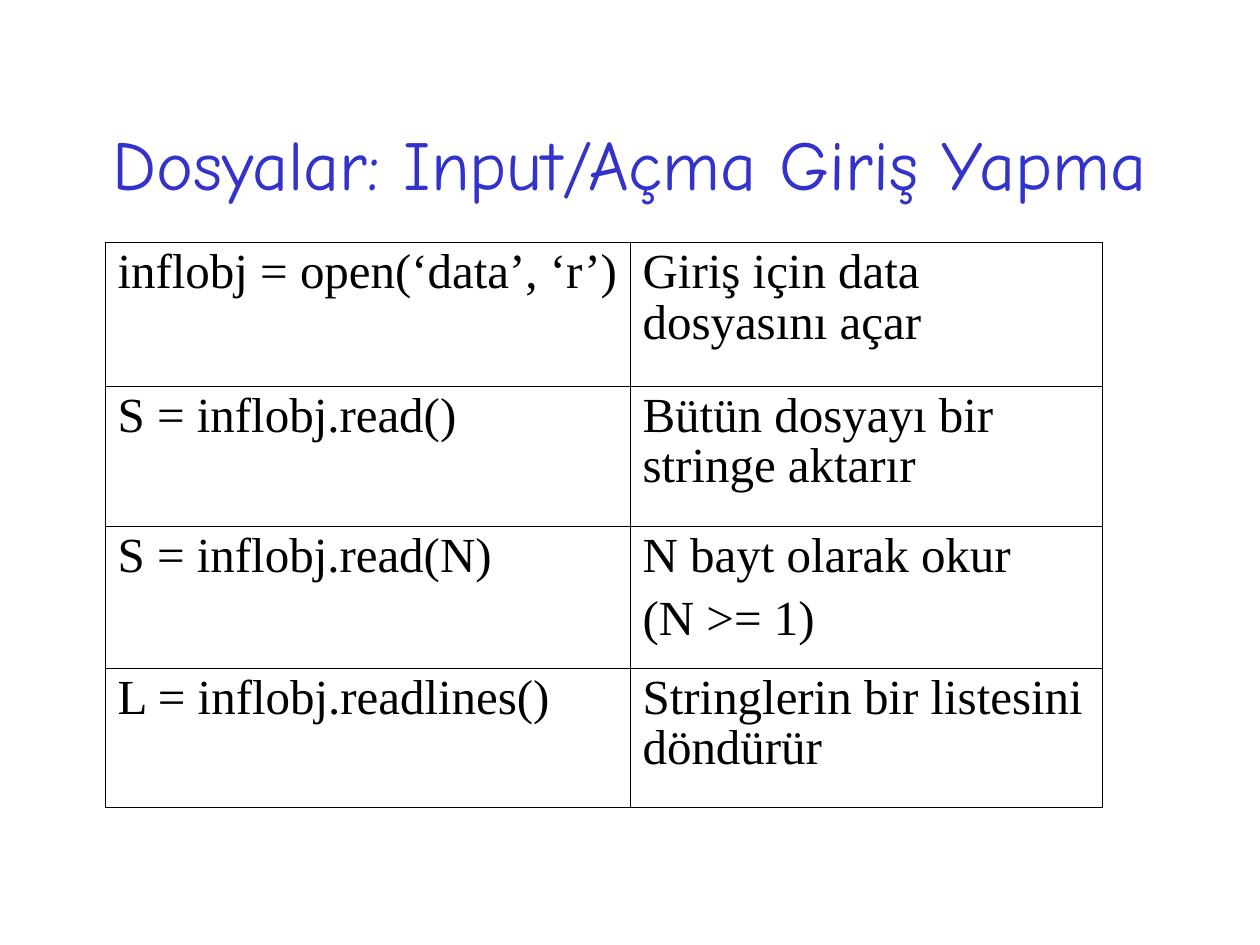
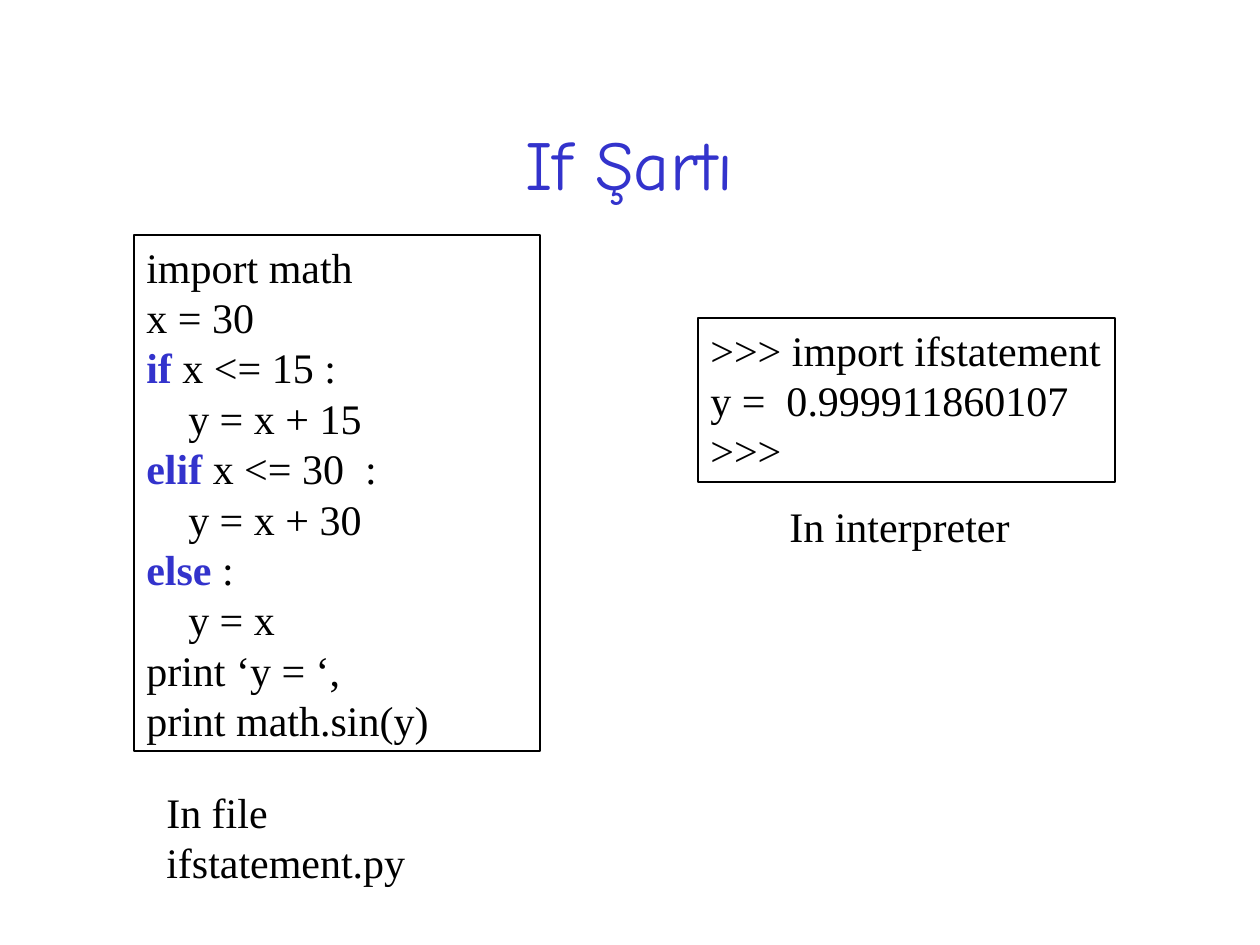
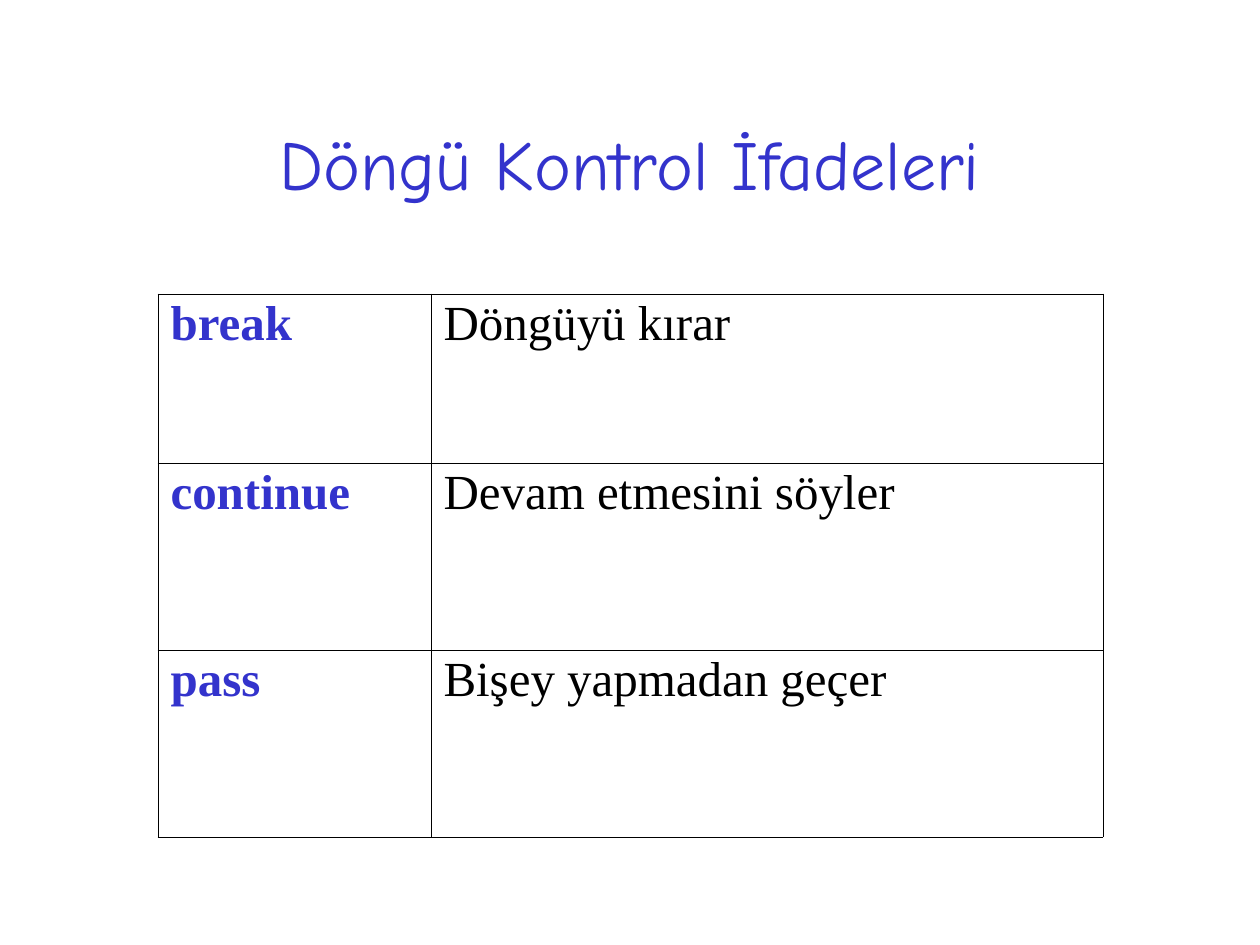
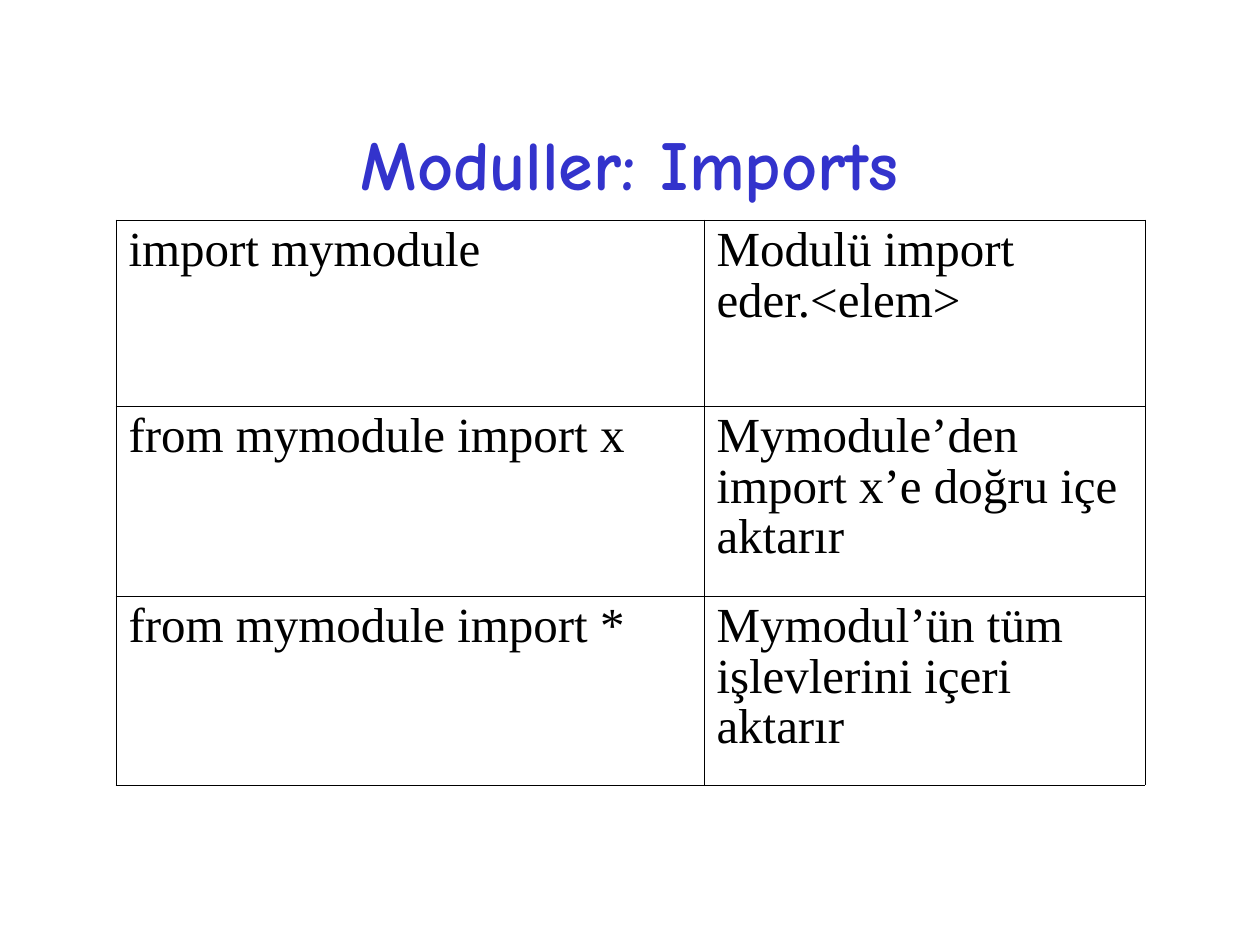
from collections import namedtuple
from dataclasses import dataclass

from lxml.etree import SubElement
from pptx import Presentation
from pptx.dml.color import RGBColor
from pptx.enum.shapes import MSO_SHAPE
from pptx.enum.text import MSO_ANCHOR, MSO_AUTO_SIZE, PP_ALIGN
from pptx.oxml.ns import qn
from pptx.util import Pt

EMU_PER_PX = 914400 / 126
KEYWORDS = {"if", "elif", "else", "break", "continue", "pass"}


@dataclass(frozen=True)
class Theme:
    accent: RGBColor = RGBColor(0x33, 0x33, 0xCC)
    ink: RGBColor = RGBColor(0x00, 0x00, 0x00)
    title_font: str = "Comic Neue"
    body_font: str = "Times New Roman"
    title_size: Pt = Pt(40)
    table_size: Pt = Pt(28)
    code_size: Pt = Pt(24)
    frame_line: Pt = Pt(0.75)
    outer_border: Pt = Pt(0.5)
    inner_border: Pt = Pt(0.23)
    line_spacing: float = 0.93
    paragraph_gap: Pt = Pt(7)


THEME = Theme()
Box = namedtuple("Box", "left top width height")
TITLE_BOX = Box(94, 84, 1071, 158)


def px(length):
    return round(length * EMU_PER_PX)


def place(box):
    return [px(length) for length in box]


def style_run(run, font, size, color, bold=False):
    run.font.name = font
    run.font.size = size
    run.font.color.rgb = color
    run.font.bold = bold


def write_lines(frame, lines, size):
    """Write one paragraph per line, with a leading keyword in bold accent."""
    frame.text = "\n".join(lines)
    for paragraph, line in zip(frame.paragraphs, lines):
        paragraph.alignment = PP_ALIGN.LEFT
        first, gap, rest = line.partition(" ")
        is_keyword = first in KEYWORDS
        if is_keyword and rest:
            paragraph.runs[0].text = first
            paragraph.add_run().text = gap + rest
        for index, run in enumerate(paragraph.runs):
            marked = is_keyword and index == 0
            color = THEME.accent if marked else THEME.ink
            style_run(run, THEME.body_font, size, color, marked)


def add_title(slide, title, bold=False):
    frame = slide.shapes.add_textbox(*place(TITLE_BOX)).text_frame
    frame.word_wrap = True
    frame.vertical_anchor = MSO_ANCHOR.MIDDLE
    frame.text = title
    heading = frame.paragraphs[0]
    heading.alignment = PP_ALIGN.CENTER
    style_run(heading.runs[0], THEME.title_font, THEME.title_size, THEME.accent, bold)


def set_borders(cell, outer_sides):
    """Draw all four borders, heavier on the sides at the table's edge."""
    properties = cell._tc.get_or_add_tcPr()
    for index, side in enumerate("LRTB"):
        width = THEME.outer_border if side in outer_sides else THEME.inner_border
        border = properties.makeelement(qn(f"a:ln{side}"), {"w": str(width)})
        fill = SubElement(border, qn("a:solidFill"))
        SubElement(fill, qn("a:srgbClr"), val=str(THEME.ink))
        properties.insert(index, border)


def add_definition_table(slide, left, top, column_widths, row_heights, entries):
    box = Box(left, top, sum(column_widths), sum(row_heights))
    last_row, last_column = len(entries) - 1, len(column_widths) - 1
    table = slide.shapes.add_table(last_row + 1, last_column + 1, *place(box)).table
    table.first_row = table.horz_banding = False
    for column, width in zip(table.columns, column_widths):
        column.width = px(width)
    for r, (height, entry) in enumerate(zip(row_heights, entries)):
        table.rows[r].height = px(height)
        for c, content in enumerate(entry):
            cell = table.cell(r, c)
            cell.fill.background()
            edges = {"L": c == 0, "R": c == last_column, "T": r == 0, "B": r == last_row}
            set_borders(cell, [side for side, outer in edges.items() if outer])
            write_lines(cell.text_frame, content.split("\n"), THEME.table_size)
            for index, paragraph in enumerate(cell.text_frame.paragraphs):
                paragraph.line_spacing = THEME.line_spacing
                if index:
                    paragraph.space_before = THEME.paragraph_gap


def add_code_panel(slide, box, code):
    panel = slide.shapes.add_shape(MSO_SHAPE.RECTANGLE, *place(box))
    panel.shadow.inherit = False
    panel.fill.background()
    panel.line.color.rgb = THEME.ink
    panel.line.width = THEME.frame_line
    frame = panel.text_frame
    frame.word_wrap = True
    frame.vertical_anchor = MSO_ANCHOR.TOP
    frame.auto_size = MSO_AUTO_SIZE.SHAPE_TO_FIT_TEXT
    write_lines(frame, code, THEME.code_size)


def add_caption(slide, box, caption):
    frame = slide.shapes.add_textbox(*place(box)).text_frame
    frame.word_wrap = False
    frame.auto_size = MSO_AUTO_SIZE.SHAPE_TO_FIT_TEXT
    write_lines(frame, [caption], THEME.code_size)


def build_table_slide(slide, title, bold=False, **table):
    add_title(slide, title, bold)
    add_definition_table(slide, **table)


def build_code_slide(slide, title, examples):
    add_title(slide, title)
    for panel_box, code, caption_box, caption in examples:
        add_code_panel(slide, panel_box, code)
        add_caption(slide, caption_box, caption)


FILE_INPUT = dict(
    title="Dosyalar: Input/Açma Giriş Yapma",
    left=105, top=242, column_widths=(525, 472), row_heights=(144, 140, 142, 140),
    entries=[
        ("inflobj = open(‘data’, ‘r’)", "Giriş için data dosyasını açar"),
        ("S = inflobj.read()", "Bütün dosyayı bir stringe aktarır"),
        ("S = inflobj.read(N)", "N bayt olarak okur\n(N >= 1)"),
        ("L = inflobj.readlines()", "Stringlerin bir listesini döndürür"),
    ],
)

IF_STATEMENT = dict(
    title="If Şartı",
    examples=[
        (
            Box(134, 235, 406, 516),
            [
                "import math",
                "x = 30",
                "if x <= 15 :",
                "    y = x + 15",
                "elif x <= 30  :",
                "    y = x + 30",
                "else :",
                "    y = x",
                "print ‘y = ‘,",
                "print math.sin(y)",
            ],
            Box(154, 780, 375, 63),
            "In file ifstatement.py",
        ),
        (
            Box(698, 318, 417, 164),
            [">>> import ifstatement", "y =  0.999911860107", ">>>"],
            Box(777, 494, 246, 63),
            "In interpreter",
        ),
    ],
)

LOOP_CONTROL = dict(
    title="Döngü Kontrol İfadeleri",
    left=158, top=294, column_widths=(273, 672), row_heights=(169, 187, 187),
    entries=[
        ("break", "Döngüyü kırar"),
        ("continue", "Devam etmesini söyler"),
        ("pass", "Bişey yapmadan geçer"),
    ],
)

MODULE_IMPORTS = dict(
    title="Moduller: Imports", bold=True,
    left=116, top=220, column_widths=(588, 441), row_heights=(186, 190, 189),
    entries=[
        ("import mymodule", "Modulü import eder.<elem>"),
        ("from mymodule import x", "Mymodule’den import x’e doğru içe aktarır"),
        ("from mymodule import *", "Mymodul’ün tüm işlevlerini içeri aktarır"),
    ],
)


def main():
    deck = Presentation()
    deck.slide_width, deck.slide_height = px(1260), px(945)
    blank = deck.slide_layouts[6]
    for build, content in (
        (build_table_slide, FILE_INPUT),
        (build_code_slide, IF_STATEMENT),
        (build_table_slide, LOOP_CONTROL),
        (build_table_slide, MODULE_IMPORTS),
    ):
        build(deck.slides.add_slide(blank), **content)
    deck.save("out.pptx")


if __name__ == "__main__":
    main()
